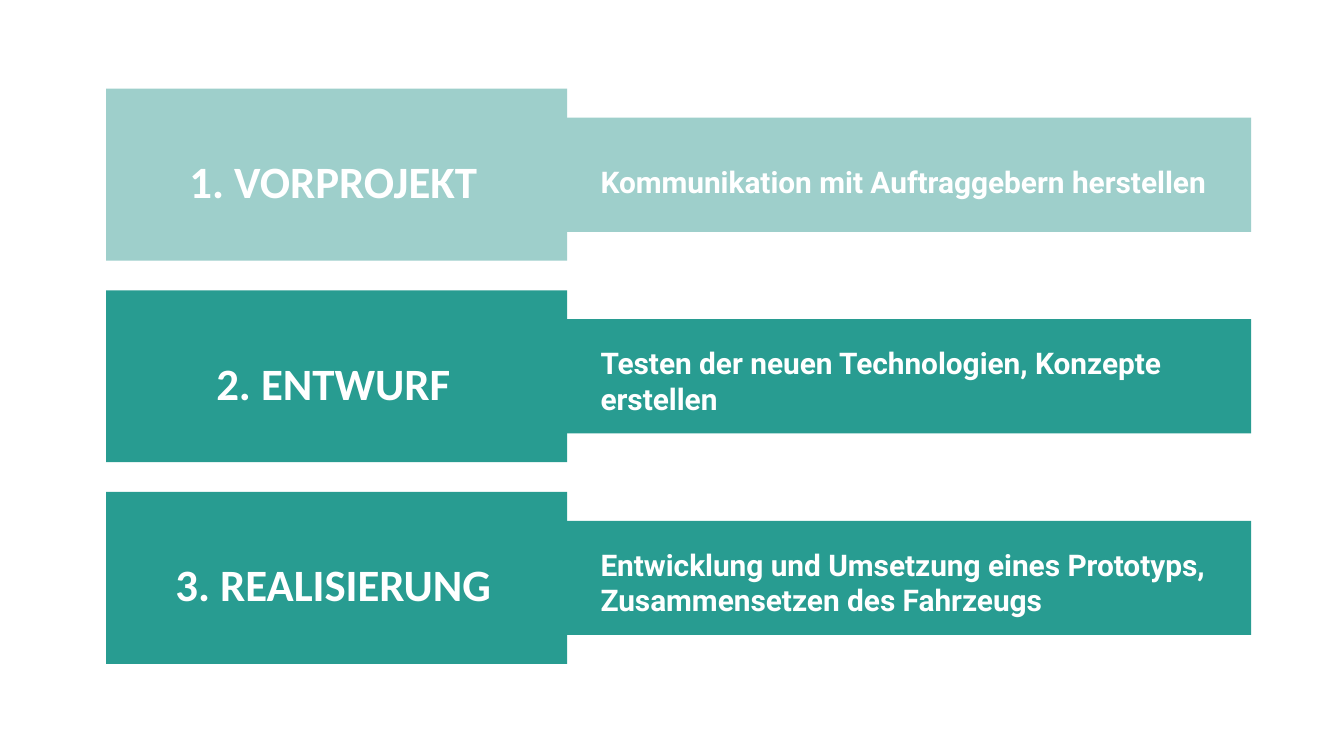
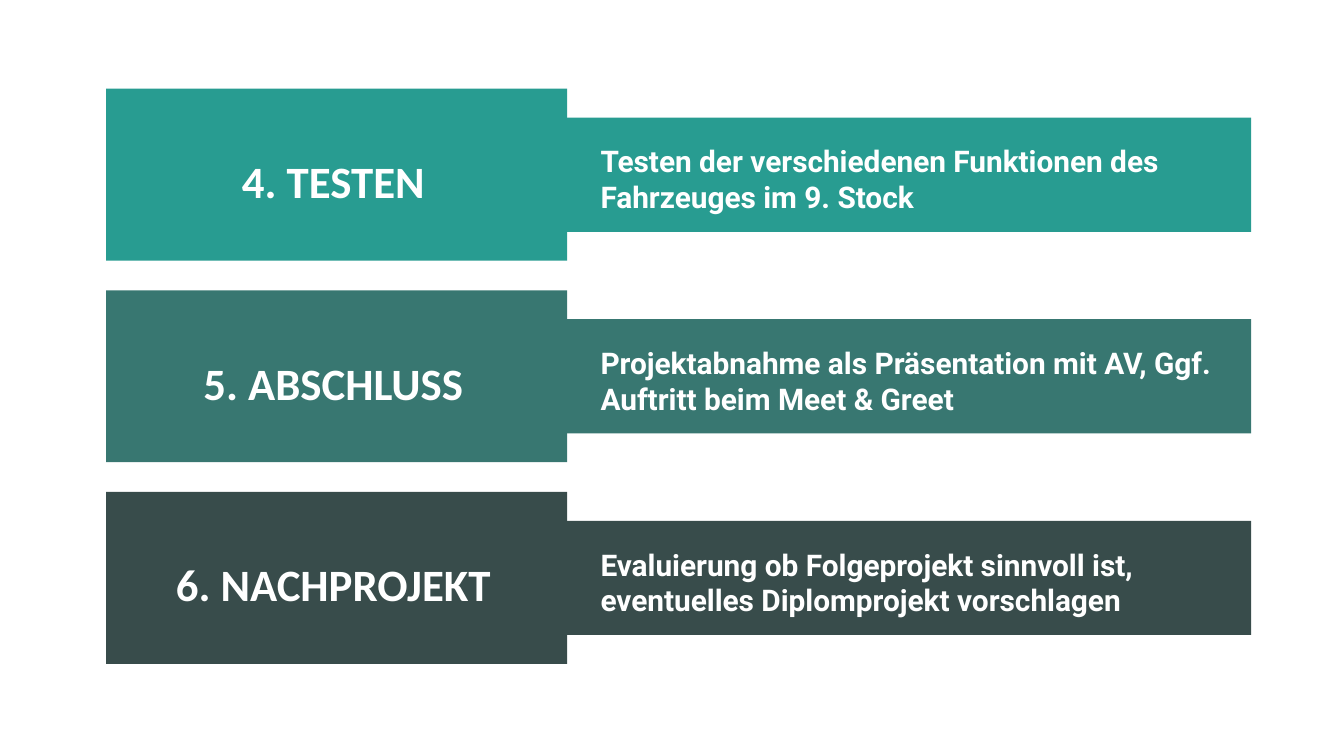
"""Build two slides that list the six phases of a project."""
from pptx import Presentation
from pptx.dml.color import RGBColor
from pptx.enum.shapes import MSO_SHAPE
from pptx.enum.text import MSO_ANCHOR, MSO_AUTO_SIZE, PP_ALIGN
from pptx.util import Inches, Pt

RECTANGLE = MSO_SHAPE.RECTANGLE
TOP = MSO_ANCHOR.TOP
NO_AUTOFIT = MSO_AUTO_SIZE.NONE
LEFT, CENTER = PP_ALIGN.LEFT, PP_ALIGN.CENTER

WHITE, MINT, TEAL, PINE, SLATE = "FFFFFF", "9ECFCB", "289C91", "387771", "384C4B"
TITLE_ONLY = 5

ROW_TOP, ROW_STEP = 0.66, 1.5
BLOCK_LEFT, BLOCK_WIDTH, BLOCK_HEIGHT = 0.79, 3.43, 1.28
BAND_LEFT, BAND_RIGHT, BAND_HEIGHT = 4.1, 9.31, 0.85
NAME_LEFT, NAME_WIDTH, NAME_HEIGHT = 0.93, 3.1, 0.53
DETAIL_LEFT, DETAIL_WIDTH = 4.37, 4.86
DETAIL_HEIGHTS = {1: 0.38, 2: 0.69}

# Each phase: colour, name, description, lines of the description
SLIDES = [
    [
        (MINT, "1. VORPROJEKT", "Kommunikation mit Auftraggebern herstellen", 1),
        (TEAL, "2. ENTWURF", "Testen der neuen Technologien, Konzepte erstellen", 2),
        (TEAL, "3. REALISIERUNG",
         "Entwicklung und Umsetzung eines Prototyps, Zusammensetzen des Fahrzeugs", 2),
    ],
    [
        (TEAL, "4. TESTEN",
         "Testen der verschiedenen Funktionen des Fahrzeuges im 9. Stock", 2),
        (PINE, "5. ABSCHLUSS",
         "Projektabnahme als Präsentation mit AV, Ggf. Auftritt beim Meet & Greet", 2),
        (SLATE, "6. NACHPROJEKT",
         "Evaluierung ob Folgeprojekt sinnvoll ist, eventuelles Diplomprojekt vorschlagen", 2),
    ],
]


def color(value):
    return RGBColor.from_string(value)


def write_text(shape, text, *, font="Roboto", size=16, align=LEFT):
    frame = shape.text_frame
    frame.text = text
    frame.word_wrap = True
    frame.auto_size = NO_AUTOFIT
    frame.vertical_anchor = TOP
    frame.margin_left = frame.margin_right = Inches(0.1)
    frame.margin_top = frame.margin_bottom = Inches(0.1)
    paragraph = frame.paragraphs[0]
    paragraph.alignment = align
    paragraph.font.name = font
    paragraph.font.size = Pt(size)
    paragraph.font.bold = True
    paragraph.font.color.rgb = color(WHITE)


presentation = Presentation()
presentation.slide_width = Inches(10)
presentation.slide_height = Inches(5.625)

for phases in SLIDES:
    slide = presentation.slides.add_slide(presentation.slide_layouts[TITLE_ONLY])
    title = slide.shapes.title

    for row, (fill, name, detail, lines) in enumerate(phases):
        top = ROW_TOP + row * ROW_STEP
        middle = top + BLOCK_HEIGHT / 2
        band_top = middle - BAND_HEIGHT / 2
        band = (BAND_LEFT, band_top, BAND_RIGHT - BAND_LEFT, BAND_HEIGHT)
        block = (BLOCK_LEFT, top, BLOCK_WIDTH, BLOCK_HEIGHT)
        for box in (band, block):
            shape = slide.shapes.add_shape(RECTANGLE, *map(Inches, box))
            shape.shadow.inherit = False
            shape.fill.solid()
            shape.fill.fore_color.rgb = color(fill)
            shape.line.fill.background()

        name_box = [Inches(value) for value in (
            NAME_LEFT, middle - NAME_HEIGHT / 2 + 0.01, NAME_WIDTH, NAME_HEIGHT)]
        if row == 0:
            title.left, title.top, title.width, title.height = name_box
            title.element.getparent().append(title.element)
            label = title
        else:
            label = slide.shapes.add_textbox(*name_box)
        write_text(label, name, font="Calibri", size=24, align=CENTER)

        height = DETAIL_HEIGHTS[lines]
        detail_box = (DETAIL_LEFT, middle - height / 2 + 0.01, DETAIL_WIDTH, height)
        write_text(slide.shapes.add_textbox(*map(Inches, detail_box)), detail)

presentation.save("out.pptx")
